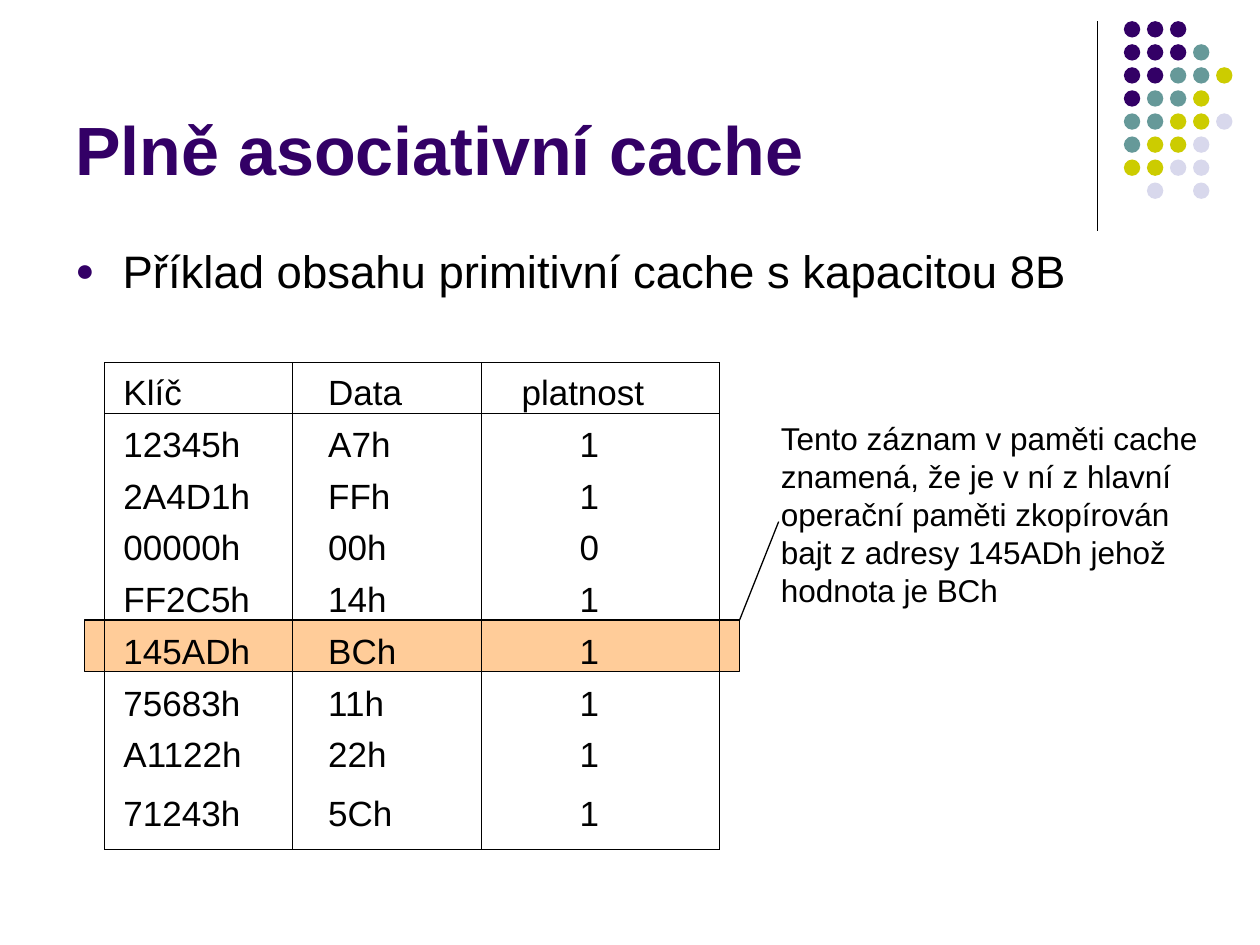
from lxml import etree
from pptx import Presentation
from pptx import util as u
from pptx.dml.color import RGBColor
from pptx.enum import shapes, text
from pptx.oxml.ns import qn

TITLE = "Plně asociativní cache"
BULLET = "Příklad obsahu primitivní cache s kapacitou 8B"
NOTE = ("Tento záznam v paměti cache znamená, že je v ní z hlavní operační "
        "paměti zkopírován bajt z adresy 145ADh jehož hodnota je BCh")
ROWS = [
    ("Klíč", "Data", "platnost"),
    ("12345h", "A7h", "1"),
    ("2A4D1h", "FFh", "1"),
    ("00000h", "00h", "0"),
    ("FF2C5h", "14h", "1"),
    ("145ADh", "BCh", "1"),
    ("75683h", "11h", "1"),
    ("A1122h", "22h", "1"),
    ("71243h", "5Ch", "1"),
]
MARKED_ROW = 5
DOTS = ["PPP", "PPPT", "PPTTY", "PTTY", "TTYYL", "TYYL", "YYLL", " L L"]

THEME = {
    "font": "Arial", "text": "000000", "line": "000000", "title": "330066",
    "mark": "FFCC99", "line_width": 0.75,
    "title_size": 39, "bullet_size": 26, "table_size": 20, "note_size": 18,
    "dots": {"P": "330066", "T": "669999", "Y": "CCCC00", "L": "D8D8EC"},
}

TABLE_LEFT, TABLE_TOP = 8.3, 38.4
COLUMNS = [14.95, 14.95, 18.9]
HEIGHTS = [5.33] + [5.47] * 7 + [7.87]
HEADER_INDENT = (1.5, 2.8, 3.2)
VALUE_INDENT = (1.5, 2.8, 7.8)
LAST_ROW_PAD = 1.6
MARK_OVERHANG = 1.6
DOT_LEFT, DOT_TOP, DOT_SIZE, DOT_PITCH = 89.2, 2.24, 1.3, 1.83

prs = Presentation()
prs.slide_width, prs.slide_height = u.Inches(10), u.Inches(7.5)
s = prs.slides.add_slide(prs.slide_layouts[6])


def x(share):
    return round(prs.slide_width * share / 100)


def y(share):
    return round(prs.slide_height * share / 100)


def color(name):
    return RGBColor.from_string(THEME[name])


def style(p, size, ink="text", bold=False):
    for r in p.runs:
        r.font.name, r.font.size, r.font.bold = THEME["font"], u.Pt(size), bold
        r.font.color.rgb = color(ink)


def add_text(box, content, size, ink="text", bold=False, anchor=text.MSO_ANCHOR.TOP):
    left, top, width, height = box
    tf = s.shapes.add_textbox(x(left), y(top), x(width), y(height)).text_frame
    tf.word_wrap, tf.vertical_anchor = True, anchor
    p = tf.paragraphs[0]
    p.text = content
    style(p, size, ink, bold)
    return p


def add_line(x1, y1, x2, y2):
    c = s.shapes.add_connector(shapes.MSO_CONNECTOR.STRAIGHT, x(x1), y(y1), x(x2), y(y2))
    c.line.color.rgb, c.line.width = color("line"), u.Pt(THEME["line_width"])
    etree.SubElement(c._element.spPr, qn("a:effectLst"))


def add_filled(kind, left, top, width, height, fill):
    sp = s.shapes.add_shape(kind, left, top, width, height)
    sp.shadow.inherit = False
    sp.fill.solid()
    sp.fill.fore_color.rgb = RGBColor.from_string(fill)
    sp.line.fill.background()
    return sp


def set_borders(cell, visible):
    tcPr = cell._tc.get_or_add_tcPr()
    for side in "LRTB":
        ln = etree.SubElement(tcPr, qn("a:ln" + side), w=str(u.Pt(THEME["line_width"])))
        if side in visible:
            fill = etree.SubElement(ln, qn("a:solidFill"))
            etree.SubElement(fill, qn("a:srgbClr"), val=THEME["line"])
        else:
            etree.SubElement(ln, qn("a:noFill"))


def add_bullet(p):
    pPr = p._p.get_or_add_pPr()
    pPr.set("marL", str(x(3.75)))
    pPr.set("indent", str(-x(3.75)))
    clr = etree.SubElement(pPr, qn("a:buClr"))
    etree.SubElement(clr, qn("a:srgbClr"), val=THEME["title"])
    etree.SubElement(pPr, qn("a:buSzPct"), val="70000")
    etree.SubElement(pPr, qn("a:buFont"), typeface=THEME["font"])
    etree.SubElement(pPr, qn("a:buChar"), char="●")


add_line(87.1, 2.27, 87.1, 24.4)
for i, row in enumerate(DOTS):
    for j, key in enumerate(row):
        if key in THEME["dots"]:
            add_filled(shapes.MSO_SHAPE.OVAL, x(DOT_LEFT + j * DOT_PITCH),
                       y(DOT_TOP) + x(i * DOT_PITCH), x(DOT_SIZE), x(DOT_SIZE),
                       THEME["dots"][key])

add_text((5, 1.73, 82.5, 18.93), TITLE, THEME["title_size"], "title", True,
         text.MSO_ANCHOR.BOTTOM)
p = add_text((5, 25.07, 90, 8), BULLET, THEME["bullet_size"])
p.space_before = u.Pt(6.5)
add_bullet(p)

mark_top = TABLE_TOP + sum(HEIGHTS[:MARKED_ROW])
mark_left = TABLE_LEFT - MARK_OVERHANG
mark_width = sum(COLUMNS) + 2 * MARK_OVERHANG
mark = add_filled(shapes.MSO_SHAPE.RECTANGLE, x(mark_left), y(mark_top), x(mark_width),
                  y(HEIGHTS[MARKED_ROW]), THEME["mark"])
mark.line.color.rgb, mark.line.width = color("line"), u.Pt(THEME["line_width"])

table = s.shapes.add_table(len(ROWS), len(COLUMNS), x(TABLE_LEFT), y(TABLE_TOP),
                           x(sum(COLUMNS)), y(sum(HEIGHTS))).table
table.first_row = table.horz_banding = False
for column, width in zip(table.columns, COLUMNS):
    column.width = x(width)
for i, (row, height) in enumerate(zip(ROWS, HEIGHTS)):
    table.rows[i].height = y(height)
    last = i == len(ROWS) - 1
    sides = "LR" + ("T" if i < 2 else "") + ("B" if i == 0 or last else "")
    for j, value in enumerate(row):
        cell = table.cell(i, j)
        cell.margin_left = x((VALUE_INDENT if i else HEADER_INDENT)[j])
        cell.margin_right = cell.margin_top = 0
        cell.margin_bottom = y(LAST_ROW_PAD) if last else 0
        cell.vertical_anchor = text.MSO_ANCHOR.BOTTOM
        set_borders(cell, sides)
        cell.fill.background()
        cell.text_frame.text = value
        style(cell.text_frame.paragraphs[0], THEME["table_size"])

add_text((61, 43.73, 35.4, 21.33), NOTE, THEME["note_size"])
add_line(mark_left + mark_width, mark_top, 61.8, 55.2)

prs.save("out.pptx")
